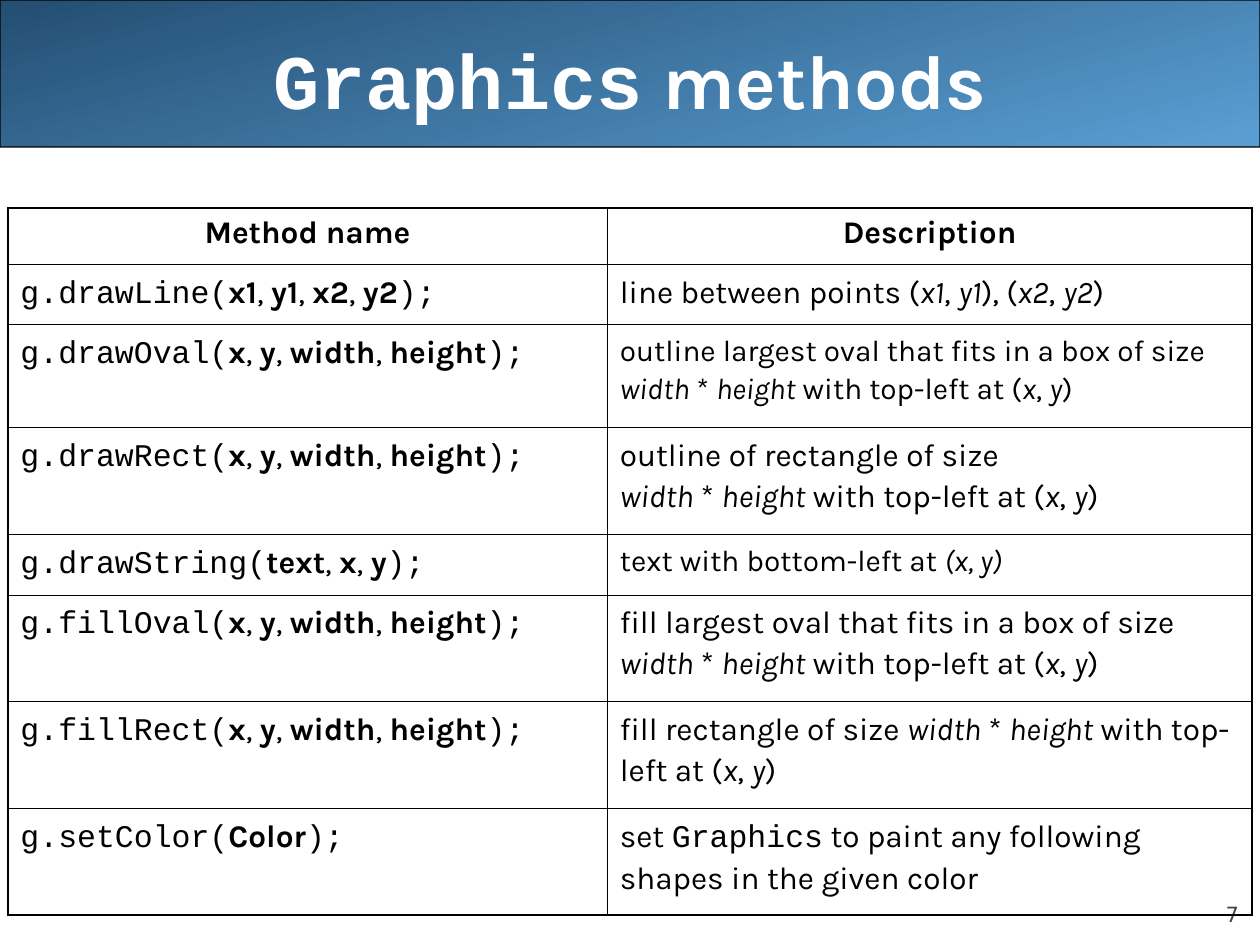
from lxml.etree import SubElement
from pptx import Presentation
from pptx.dml.color import RGBColor
from pptx.enum.shapes import MSO_SHAPE as Preset
from pptx.enum.text import MSO_ANCHOR as Anchor, PP_ALIGN as Align
from pptx.oxml.ns import qn
from pptx.util import Pt

NAVY = RGBColor(0x24, 0x4E, 0x72)
SKY = RGBColor(0x5A, 0x9F, 0xD4)
BLACK = RGBColor(0, 0, 0)
WHITE = RGBColor(0xFF, 0xFF, 0xFF)
GREY = RGBColor(0x42, 0x42, 0x42)

BODY, MONO, NUMBER = "Karla", "Courier New", "DejaVu Sans"
INNER, OUTER = Pt(0.45), Pt(1.08)
HEADINGS = ["Method name", "Description"]
COLUMN_WIDTHS = [342.5, 368.5]
HEADING_HEIGHT = 32
CORNER = "_width_ * _height_ with top-left at (_x_, _y_)"
BOX = ["x", "y", "width", "height"]
METHODS = [
    ("drawLine", ["x1", "y1", "x2", "y2"],
     "line between points (_x1_, _y1_), (_x2_, _y2_)", 18, 34.5),
    ("drawOval", BOX,
     "outline largest oval that fits in a box of size " + CORNER, 17, 59),
    ("drawRect", BOX, "outline of rectangle of size\n" + CORNER, 18, 61),
    ("drawString", ["text", "x", "y"],
     "text with bottom-left at _(x, y)_", 17, 34.5),
    ("fillOval", BOX,
     "fill largest oval that fits in a box of size " + CORNER, 18, 61),
    ("fillRect", BOX, "fill rectangle of size " + CORNER, 18, 61),
    ("setColor", ["Color"],
     "set `Graphics` to paint any following shapes in the given color", 18, 61),
]


def add_run(paragraph, text, color=BLACK, **font_values):
    run = paragraph.add_run()
    run.text = text
    values = {"name": BODY, "size": Pt(18), "bold": False, "italic": False}
    for name, value in {**values, **font_values}.items():
        setattr(run.font, name, value)
    run.font.color.rgb = color


def add_text_box(slide, box, margins, anchor, alignment):
    frame = slide.shapes.add_textbox(*map(Pt, box)).text_frame
    horizontal, vertical = map(Pt, margins)
    values = {"word_wrap": True, "vertical_anchor": anchor,
              "margin_left": horizontal, "margin_right": horizontal,
              "margin_top": vertical, "margin_bottom": vertical}
    for name, value in values.items():
        setattr(frame, name, value)
    paragraph = frame.paragraphs[0]
    paragraph.alignment = alignment
    return paragraph


def add_banner(slide, left, top, width, height):
    shape = slide.shapes.add_shape(
        Preset.ROUNDED_RECTANGLE, Pt(left), Pt(top), Pt(width), Pt(height))
    shape.adjustments[0] = 0.001
    shape.shadow.inherit = False
    shape.fill.gradient()
    shape.fill.gradient_angle = 285
    for stop, color in zip(shape.fill.gradient_stops, [NAVY, SKY]):
        stop.color.rgb = color
    shape.line.color.rgb = BLACK
    shape.line.width = Pt(0.75)
    title = add_text_box(slide, (left + 36, top, width - 72, 90),
                         (7.2, 3.6), Anchor.MIDDLE, Align.CENTER)
    for text, font in [("Graphics", MONO), (" methods", BODY)]:
        add_run(title, text, WHITE, name=font, size=Pt(44), bold=True)


def add_page_number(slide, box):
    paragraph = add_text_box(slide, box, (0, 0), Anchor.BOTTOM, Align.RIGHT)
    add_run(paragraph, "7", GREY, name=NUMBER, size=Pt(12))


def set_borders(cell, row, column, last_row):
    properties = cell._tc.get_or_add_tcPr()
    outside = {"lnL": column == 0, "lnR": column == 1,
               "lnT": row == 0, "lnB": row == last_row}
    for tag, is_outside in outside.items():
        width = OUTER if is_outside else INNER
        line = SubElement(properties, qn("a:" + tag), w=str(int(width)))
        fill = SubElement(line, qn("a:solidFill"))
        SubElement(fill, qn("a:srgbClr"), val=str(BLACK))


def write_signature(paragraph, method, parameters):
    add_run(paragraph, f"g.{method}(", name=MONO)
    for index, parameter in enumerate(parameters):
        if index:
            add_run(paragraph, ", ")
        add_run(paragraph, parameter, bold=True)
    add_run(paragraph, ");", name=MONO)


def write_description(paragraph, text, size):
    for line_index, line in enumerate(text.split("\n")):
        if line_index:
            paragraph.add_line_break()
        for code_index, part in enumerate(line.split("`")):
            font = MONO if code_index % 2 else BODY
            for index, piece in enumerate(part.split("_")):
                if piece:
                    add_run(paragraph, piece, name=font, size=Pt(size),
                            italic=index % 2 == 1)


def add_method_table(slide, left, top):
    heights = [HEADING_HEIGHT] + [method[-1] for method in METHODS]
    table = slide.shapes.add_table(
        len(heights), len(COLUMN_WIDTHS), Pt(left), Pt(top),
        Pt(sum(COLUMN_WIDTHS)), Pt(sum(heights))).table
    table.first_row = table.horz_banding = False
    for column, width in zip(table.columns, COLUMN_WIDTHS):
        column.width = Pt(width)
    for row_index, height in enumerate(heights):
        table.rows[row_index].height = Pt(height)
        paragraphs = []
        for column_index in range(len(COLUMN_WIDTHS)):
            cell = table.cell(row_index, column_index)
            set_borders(cell, row_index, column_index, len(METHODS))
            cell.fill.background()
            paragraphs.append(cell.text_frame.paragraphs[0])
        if row_index == 0:
            for paragraph, heading in zip(paragraphs, HEADINGS):
                paragraph.alignment = Align.CENTER
                add_run(paragraph, heading, bold=True)
            continue
        method, parameters, description, size, _ = METHODS[row_index - 1]
        for paragraph in paragraphs:
            paragraph.line_spacing = 1.1
        write_signature(paragraphs[0], method, parameters)
        write_description(paragraphs[1], description, size)


def main():
    presentation = Presentation()
    presentation.slide_width, presentation.slide_height = Pt(720), Pt(540)
    slide = presentation.slides.add_slide(presentation.slide_layouts[6])
    add_banner(slide, 0, 0, 720, 84)
    add_page_number(slide, (648, 500.5, 60, 29))
    add_method_table(slide, 4.5, 119)
    presentation.save("out.pptx")


if __name__ == "__main__":
    main()
